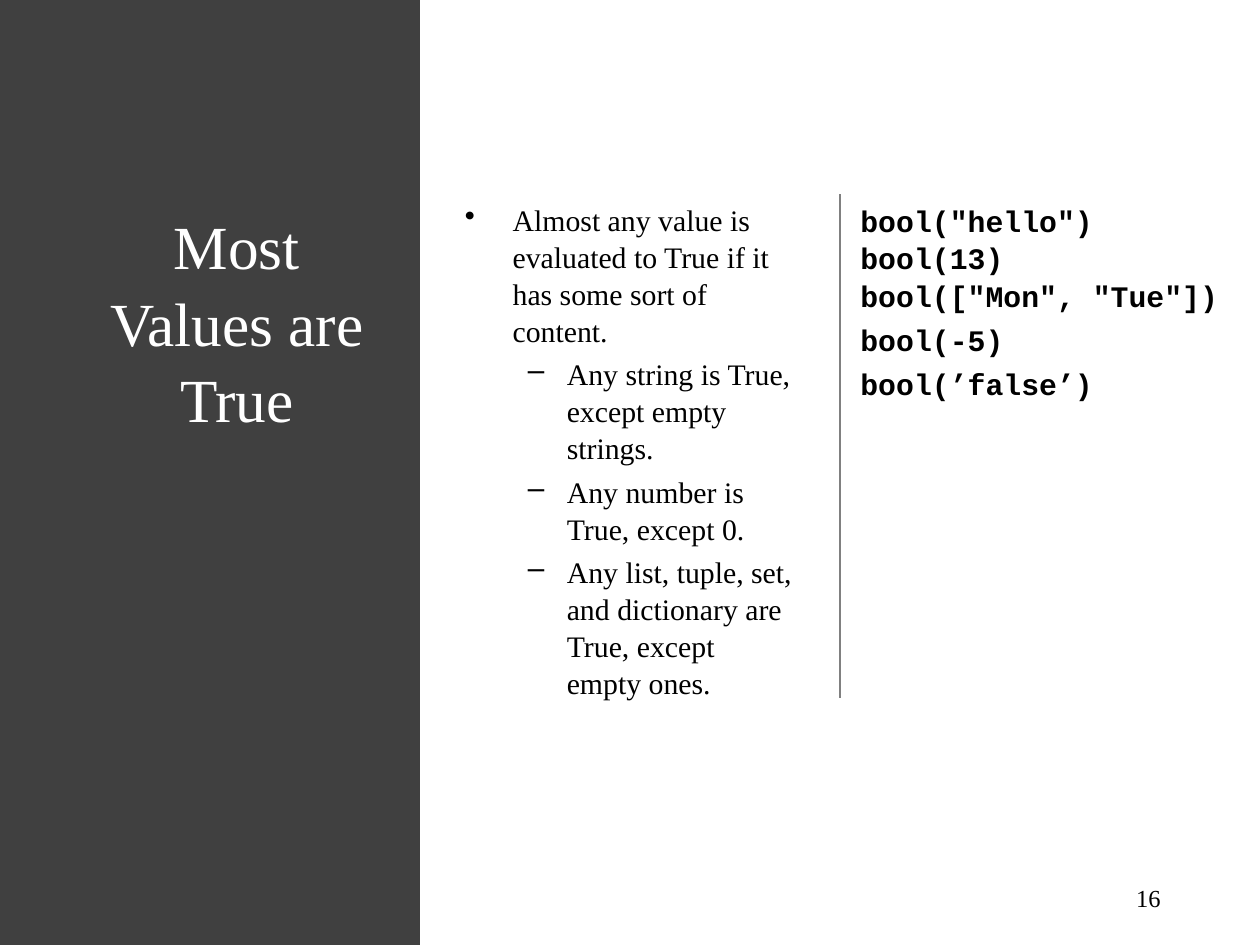
from dataclasses import dataclass

from lxml import etree
from pptx import Presentation
from pptx.dml.color import RGBColor
from pptx.enum.shapes import MSO_CONNECTOR as Connector, MSO_SHAPE as Shape
from pptx.enum.text import MSO_ANCHOR as Anchor, MSO_AUTO_SIZE as AutoSize, PP_ALIGN as Align
from pptx.oxml.ns import qn
from pptx.util import Inches, Pt


@dataclass(frozen=True)
class Theme:
    panel: RGBColor = RGBColor(0x40, 0x40, 0x40)
    rule: RGBColor = RGBColor(0x80, 0x80, 0x80)
    light: RGBColor = RGBColor(0xFF, 0xFF, 0xFF)
    ink: RGBColor = RGBColor(0, 0, 0)
    serif: str = "Times New Roman"
    mono: str = "Courier New"
    title_size: float = 35
    body_size: float = 17
    number_size: float = 14


theme = Theme()


def style(para, size, color, face=theme.serif, bold=False, spacing=1.045):
    font = para.font
    font.name, font.size, font.bold = face, Pt(size), bold
    font.color.rgb = color
    para.line_spacing = spacing


def add_paragraphs(frame, texts):
    frame.word_wrap = True
    for index, text in enumerate(texts):
        para = frame.paragraphs[0] if index == 0 else frame.add_paragraph()
        para.text = text
        para.space_before = Pt(0.2 * theme.body_size)
        yield para


deck = Presentation()
deck.slide_width, deck.slide_height = Inches(10), Inches(7.5)
page = deck.slides.add_slide(deck.slide_layouts[5])

# Columns and rows shared by the parts
panel_width = deck.slide_width // 3
rule_x = 2 * panel_width
top, text_height = Inches(1.54), Inches(4.77)

# Dark panel behind the title
panel = page.shapes.add_shape(Shape.RECTANGLE, 0, 0, panel_width, deck.slide_height)
panel.shadow.inherit = False
panel.fill.solid()
panel.fill.fore_color.rgb = theme.panel
panel.line.fill.background()

# Title
title = page.shapes.title
title.element.addprevious(panel.element)
title.left, title.top, title.width, title.height = Inches(0.69), top, Inches(2.38), text_height
frame = title.text_frame
frame.text = "Most Values are True"
frame.word_wrap, frame.auto_size = True, AutoSize.NONE
frame.vertical_anchor, frame.margin_top = Anchor.TOP, Inches(0.09)
frame.paragraphs[0].alignment = Align.CENTER
style(frame.paragraphs[0], theme.title_size, theme.light)

# Explanation: one bullet with three dashed points under it
points = [
    "Almost any value is evaluated to True if it has some sort of content.",
    "Any string is True, except empty strings.",
    "Any number is True, except 0.",
    "Any list, tuple, set, and dictionary are True, except empty ones.",
]
box = page.shapes.add_textbox(Inches(3.59), top, Inches(2.81), text_height)
for index, para in enumerate(add_paragraphs(box.text_frame, points)):
    style(para, theme.body_size, theme.ink)
    para.level = min(index, 1)
    margin, hang, mark = ((0.38, 0.38, "•"), (0.81, 0.31, "–"))[para.level]
    props = para._p.get_or_add_pPr()
    props.set("marL", str(Inches(margin)))
    props.set("indent", str(-Inches(hang)))
    bullet = etree.Element(qn("a:buChar"), char=mark)
    props.find(qn("a:defRPr")).addprevious(bullet)

# Rule between explanation and code
rule = page.shapes.add_connector(Connector.STRAIGHT, rule_x, top, rule_x, top + Inches(4))
rule.line.color.rgb = theme.rule
rule.line.width = Pt(1)
etree.SubElement(rule.element.spPr, qn("a:effectLst"))

# Code examples
examples = [
    'bool("hello")\vbool(13)\vbool(["Mon", "Tue"])',
    "bool(-5)",
    "bool(’false’)",
]
box = page.shapes.add_textbox(Inches(6.73), top, Inches(3.08), text_height)
for para in add_paragraphs(box.text_frame, examples):
    style(para, theme.body_size, theme.ink, theme.mono, bold=True, spacing=1.06)

# Page number
box = page.shapes.add_textbox(Inches(7.55), Inches(6.95), Inches(1.76), Inches(0.4))
box.text_frame.word_wrap = True
para = box.text_frame.paragraphs[0]
para.text = "16"
para.alignment = Align.RIGHT
para.space_after = Pt(6)
style(para, theme.number_size, theme.ink)

deck.save("out.pptx")
